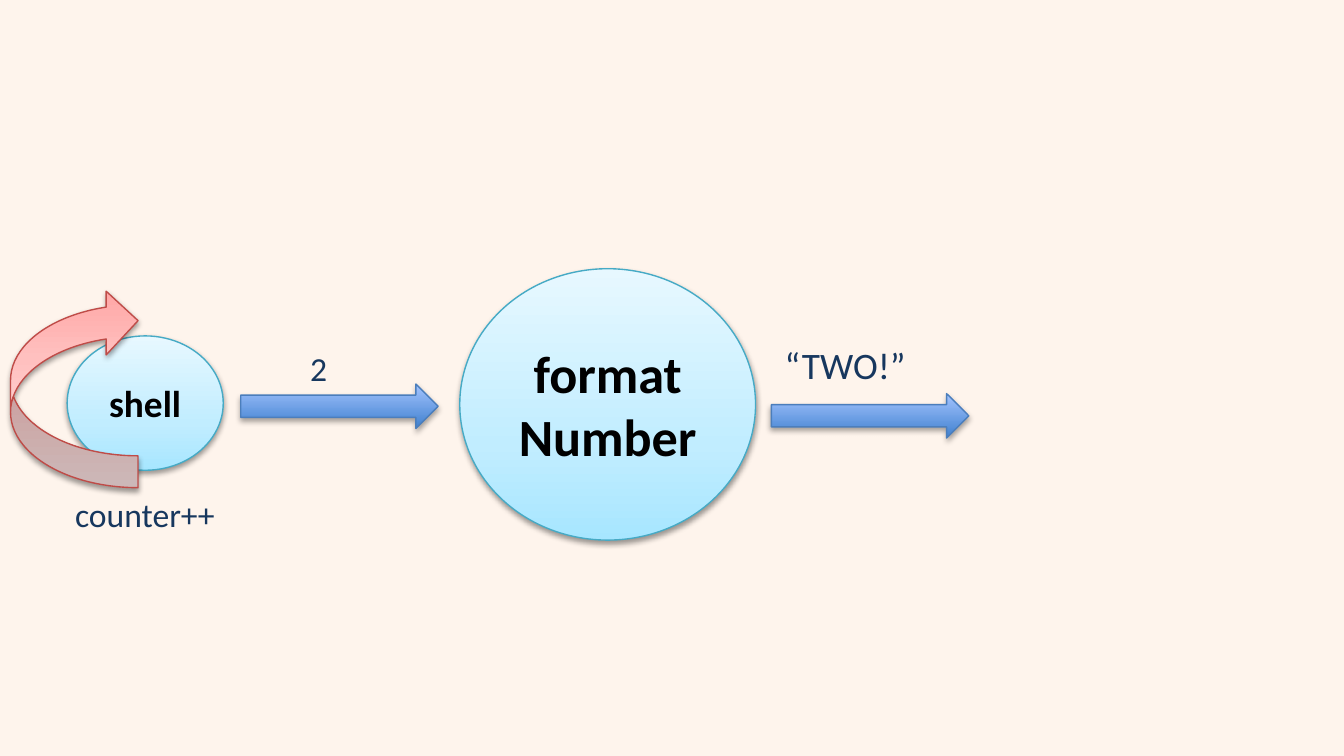
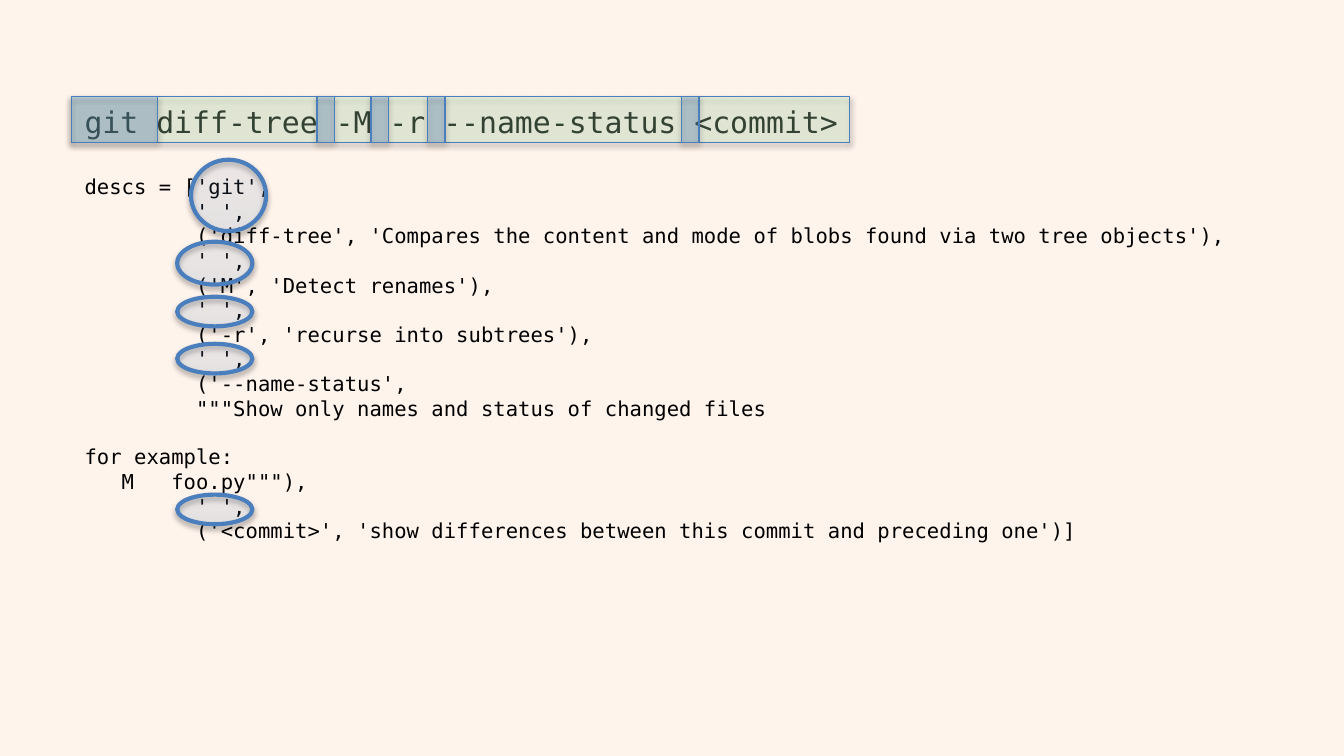
from lxml.etree import SubElement
from pptx import Presentation
from pptx.dml.color import RGBColor
from pptx.enum.shapes import MSO_SHAPE as Preset
from pptx.enum.text import MSO_ANCHOR as Anchor, MSO_AUTO_SIZE as AutoSize, PP_ALIGN as Align
from pptx.oxml.ns import qn
from pptx.util import Cm, Pt

# Shared look
BACKGROUND, BLACK, NAVY = "FEF4EC", "000000", "17375E"
SANS, MONO = "Calibri", "DejaVu Sans Mono"

# Styles: gradient stops from bottom to top, outline, shadow opacity in %, shadow distance
BLUE = ([(0, "3F80CE"), (100, "A4C4FF")], "4B7EBC", 35, 1.8)
AQUA = ([(0, "A7E6FF"), (35, "C1EDFF"), (100, "E7F8FF")], "46AAC5", 38, 1.6)
RED = ([(0, "FFA6A5"), (35, "FFC0BF"), (100, "FFE7E7")], "BF4C48", 38, 1.6)
GREEN_BAND = ([(0, "CCFFCC")], "4B7EBC", 35, 1.8)
BLUE_BAND = ([(0, "558ED5")], "4B7EBC", 35, 1.8)


def rgb(code):
    return RGBColor.from_string(code)


def add_figure(page, preset, place, style, line_width=0.75, opacity=100):
    """Add a shape with a plain or gradient fill, an outline and a soft shadow."""
    stops, outline, shadow_opacity, distance = style
    figure = page.shapes.add_shape(preset, *[Cm(length) for length in place])
    props = figure._element.spPr

    if len(stops) == 1:
        figure.fill.solid()
        figure.fill.fore_color.rgb = rgb(stops[0][1])
    else:
        figure.fill.gradient()
        figure.fill.gradient_angle = 90
        stop_list = props.find(qn("a:gradFill")).find(qn("a:gsLst"))
        for old in list(stop_list):
            stop_list.remove(old)
        for position, code in stops:
            stop = SubElement(stop_list, qn("a:gs"), pos=str(position * 1000))
            SubElement(stop, qn("a:srgbClr"), val=code)
    if opacity < 100:
        for tint in props.iter(qn("a:srgbClr")):
            SubElement(tint, qn("a:alpha"), val=str(opacity * 1000))

    figure.line.color.rgb = rgb(outline)
    figure.line.width = Pt(line_width)

    figure.shadow.inherit = False
    shadow = SubElement(props.find(qn("a:effectLst")), qn("a:outerShdw"),
                        blurRad=str(Pt(3.1)), dist=str(Pt(distance)),
                        dir="5400000", rotWithShape="0")
    shade = SubElement(shadow, qn("a:srgbClr"), val=BLACK)
    SubElement(shade, qn("a:alpha"), val=str(shadow_opacity * 1000))
    return figure


deck = Presentation()
deck.slide_width, deck.slide_height = Cm(25.4), Cm(14.29)
flow_page, code_page = [deck.slides.add_slide(deck.slide_layouts[6]) for _ in range(2)]
for page in (flow_page, code_page):
    page.background.fill.solid()
    page.background.fill.fore_color.rgb = rgb(BACKGROUND)

# Slide 1: process circles
circles = [
    (["format", "Number"], 28, (8.69, 5.08, 5.59, 5.13)),
    (["shell"], 20, (1.27, 6.35, 2.95, 2.54)),
]
for words, size, place in circles:
    circle = add_figure(flow_page, Preset.OVAL, place, AQUA)
    circle.text_frame.vertical_anchor = Anchor.MIDDLE
    para = circle.text_frame.paragraphs[0]
    para.alignment = Align.CENTER
    for index, word in enumerate(words):
        if index:
            para.add_line_break()
        span = para.add_run()
        span.text = word
        span.font.name, span.font.size, span.font.bold = SANS, Pt(size), True
        span.font.color.rgb = rgb(BLACK)

# Slide 1: arrows, and the loop back into the shell
for left, top in [(14.58, 7.44), (4.55, 7.26)]:
    add_figure(flow_page, Preset.RIGHT_ARROW, (left, top, 3.73, 0.84), BLUE)
loop = add_figure(flow_page, Preset.CURVED_RIGHT_ARROW, (0.2, 5.46, 2.41, 3.76), RED)
loop._element.spPr.find(qn("a:xfrm")).set("flipV", "1")

# Slide 1: labels
labels = [
    ("“TWO!”", 20, True, (14.58, 6.35, 9.55, 1.12)),
    ("2", 18, False, (5.61, 6.45, 0.84, 1.02)),
    ("counter++", 18, False, (1.17, 9.22, 3.2, 1.02)),
]
for label, size, wrap, place in labels:
    box = flow_page.shapes.add_textbox(*[Cm(length) for length in place])
    box.text_frame.word_wrap = wrap
    box.text_frame.auto_size = AutoSize.SHAPE_TO_FIT_TEXT
    span = box.text_frame.paragraphs[0].add_run()
    span.text = label
    span.font.name, span.font.size = SANS, Pt(size)
    span.font.color.rgb = rgb(NAVY)

# Slide 2: command and its description list (text, size, space before)
code_lines = [
    ("git diff-tree -M -r --name-status <commit>", 16, 0),
    ("descs = ['git',", 11, 18.6),
    ("         ' ',", 11, 0),
    ("         ('diff-tree', 'Compares the content and mode of blobs found via two tree objects'),", 11, 0),
    ("         ' ',", 11, 0),
    ("         ('M', 'Detect renames'),", 11, 0),
    ("         ' ',", 11, 0),
    ("         ('-r', 'recurse into subtrees'),", 11, 0),
    ("         ' ',", 11, 0),
    ("         ('--name-status',", 11, 0),
    ('         """Show only names and status of changed files', 11, 0),
    ("for example:", 11, 12.8),
    ('   M   foo.py"""),', 11, 0),
    ("         ' ',", 11, 0),
    ("         ('<commit>', 'show differences between this commit and preceding one')]", 11, 0),
]
box = code_page.shapes.add_textbox(Cm(1.35), Cm(1.83), Cm(22.45), Cm(8.69))
frame = box.text_frame
frame.word_wrap = True
frame.auto_size = AutoSize.SHAPE_TO_FIT_TEXT
for index, (line, size, gap) in enumerate(code_lines):
    para = frame.add_paragraph() if index else frame.paragraphs[0]
    if gap:
        para.space_before = Pt(gap)
    span = para.add_run()
    span.text = line
    span.font.name, span.font.size = MONO, Pt(size)
    span.font.color.rgb = rgb(BLACK)

# Slide 2: band over the command
band_top, band_height = 1.83, 0.86
add_figure(code_page, Preset.RECTANGLE, (1.35, band_top, 14.71, band_height),
           GREEN_BAND, opacity=26)

# Slide 2: rings around the plain strings
rings = [(3.61, 3.02, 1.35), (3.35, 4.57, 0.81), (3.35, 5.61, 0.56),
         (3.35, 6.5, 0.56), (3.35, 9.35, 0.56)]
for left, top, height in rings:
    add_figure(code_page, Preset.OVAL, (left, top, 1.42, height), BLUE,
               line_width=2.25, opacity=10)

# Slide 2: matching plain parts of the command
for left, width in [(1.35, 1.63), (5.99, 0.33), (7.01, 0.33), (8.08, 0.33), (12.88, 0.33)]:
    add_figure(code_page, Preset.RECTANGLE, (left, band_top, width, band_height),
               BLUE_BAND, opacity=26)

deck.save("out.pptx")
